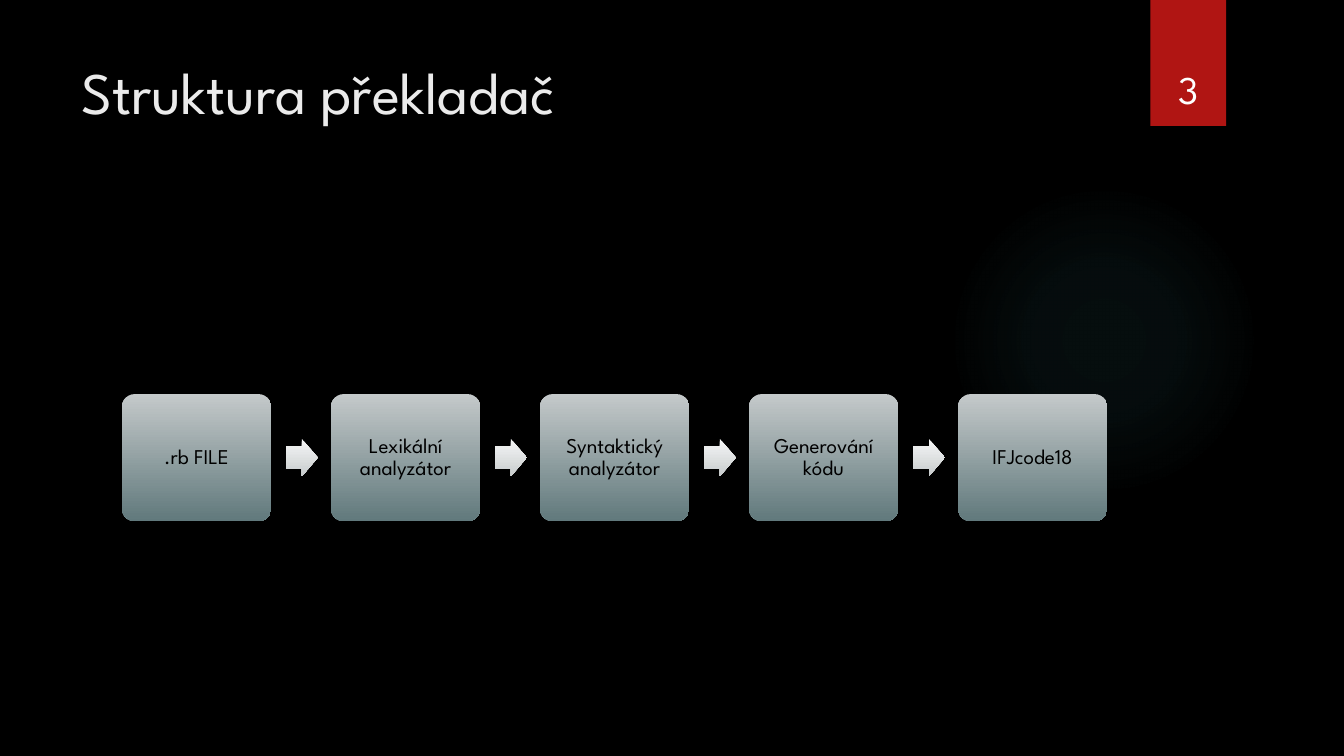
from lxml import etree
from pptx import Presentation
from pptx.dml.color import RGBColor
from pptx.enum.shapes import MSO_SHAPE as Form
from pptx.enum.text import MSO_ANCHOR as Anchor, MSO_AUTO_SIZE as Fit, PP_ALIGN as Align
from pptx.oxml import parse_xml
from pptx.oxml.ns import nsdecls, qn
from pptx.util import Pt

BLACK = RGBColor(0x00, 0x00, 0x00)
WHITE = RGBColor(0xFF, 0xFF, 0xFF)
PALE = RGBColor(0xEB, 0xEB, 0xEB)
RED = RGBColor(0xB0, 0x15, 0x13)
TEAL = RGBColor(0x50, 0xB9, 0xC1)
STEEL = RGBColor(0xC4, 0xC9, 0xCA), RGBColor(0x61, 0x79, 0x7C)
SILVER = RGBColor(0xF6, 0xF7, 0xF7), RGBColor(0xC8, 0xCC, 0xCD)

STEPS = [".rb FILE", "Lexikální analyzátor", "Syntaktický analyzátor",
         "Generování kódu", "IFJcode18"]
LEFT, TOP, WIDTH, HEIGHT, PITCH = 87.1, 281.5, 106.6, 90.7, 149.3


def write(shape, text, size, color, align=Align.CENTER, anchor=Anchor.MIDDLE,
          font="League Spartan", inset=(7.2, 3.6, 7.2, 3.6), spacing=None):
    frame = shape.text_frame
    frame.word_wrap, frame.auto_size = True, Fit.NONE
    frame.vertical_anchor = anchor
    (frame.margin_left, frame.margin_top,
     frame.margin_right, frame.margin_bottom) = map(Pt, inset)
    para = frame.paragraphs[0]
    para.alignment, para.line_spacing = align, spacing
    run = para.add_run()
    run.text = text
    run.font.name, run.font.size = font, Pt(size)
    run.font.color.rgb = color


class Deck:
    def __init__(self):
        self.prs = Presentation()
        self.prs.slide_width, self.prs.slide_height = Pt(960), Pt(540)
        self.slide = self.prs.slides.add_slide(self.prs.slide_layouts[5])
        back = self.slide.background.fill
        back.solid()
        back.fore_color.rgb = BLACK

    def title(self, text, *box):
        shape = self.slide.shapes.title
        shape.left, shape.top, shape.width, shape.height = map(Pt, box)
        write(shape, text, 42, PALE, align=Align.LEFT, anchor=Anchor.TOP)

    def shape(self, form, *box, fill, adjust=()):
        """Add a borderless shape; fill is one colour or a top and bottom pair."""
        shape = self.slide.shapes.add_shape(form, *map(Pt, box))
        shape.shadow.inherit = False
        shape.line.fill.background()
        for i, value in enumerate(adjust):
            shape.adjustments[i] = value
        if isinstance(fill, RGBColor):
            shape.fill.solid()
            shape.fill.fore_color.rgb = fill
        else:
            shape.fill.gradient()
            shape.fill.gradient_angle = 270
            for stop, color in zip(shape.fill.gradient_stops, fill):
                stop.color.rgb = color
        return shape

    def glow(self, *box, color, stops):
        """Add a disc that fades outward; stops are (place, opacity) in percent."""
        disc = self.shape(Form.OVAL, *box, fill=color)
        grad = parse_xml(
            f'<a:gradFill {nsdecls("a")} rotWithShape="1"><a:gsLst/>'
            '<a:path path="circle"><a:fillToRect l="50000" t="50000" '
            'r="50000" b="50000"/></a:path></a:gradFill>')
        for place, alpha in stops:
            stop = etree.SubElement(grad[0], qn("a:gs"), pos=str(place * 1000))
            tint = etree.SubElement(stop, qn("a:srgbClr"), val=str(color))
            etree.SubElement(tint, qn("a:alpha"), val=str(alpha * 1000))
        props = disc.element.spPr
        props.replace(props.find(qn("a:solidFill")), grad)

    def badge(self, text, *box):
        shape = self.shape(Form.RECTANGLE, *box, fill=RED)
        write(shape, text, 28, WHITE, anchor=Anchor.BOTTOM, inset=(0, 0, 0, 10))

    def step(self, text, x):
        shape = self.shape(Form.ROUNDED_RECTANGLE, x, TOP, WIDTH, HEIGHT,
                           fill=STEEL, adjust=[0.1])
        write(shape, text, 15, BLACK, inset=(7, 7, 7, 7), spacing=0.9)

    def arrow(self, x):
        self.shape(Form.RIGHT_ARROW, x, TOP + (HEIGHT - 26.5) / 2, 22.6, 26.5,
                   fill=SILVER, adjust=[0.6, 0.5])


def main():
    deck = Deck()
    deck.glow(677.5, 131.8, 221.8, 221.8, color=TEAL,
              stops=[(0, 7), (36, 6), (69, 0)])
    deck.title("Struktura překladač", 51, 36, 741, 110)
    deck.badge("3", 821.8, 0, 54, 90)
    for i, text in enumerate(STEPS):
        x = LEFT + i * PITCH
        if i:
            deck.arrow(x - 32)
        deck.step(text, x)
    deck.prs.save("out.pptx")


if __name__ == "__main__":
    main()
